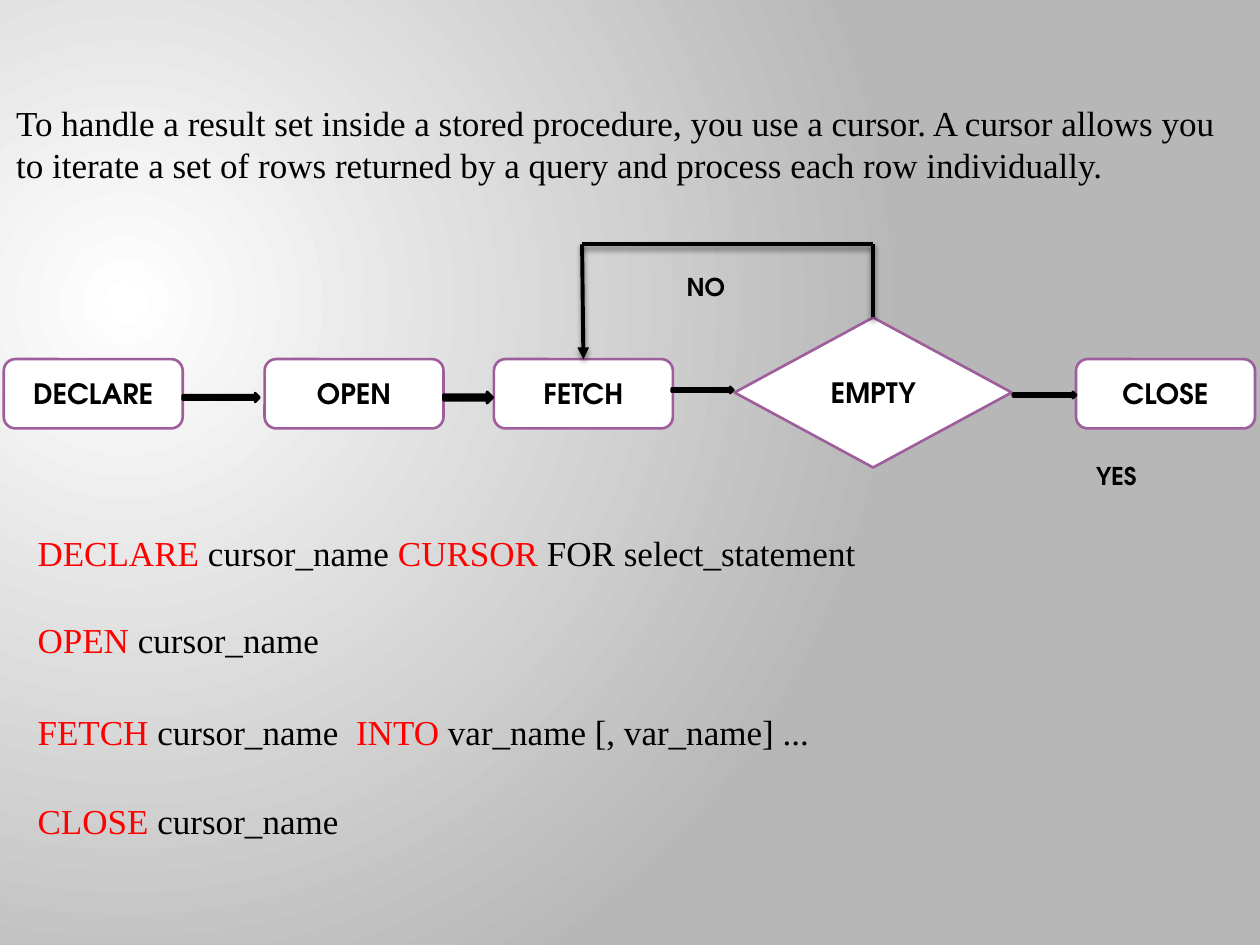
"""Build a slide on the life cycle of a database cursor."""
import pptx
import pptx.dml.color
import pptx.enum.shapes
import pptx.enum.text
import pptx.oxml
import pptx.oxml.ns
import pptx.util

Inches = pptx.util.Inches
Pt = pptx.util.Pt
RGBColor = pptx.dml.color.RGBColor
Shape = pptx.enum.shapes.MSO_SHAPE
NS = pptx.oxml.ns.nsdecls("a")

BLACK = RGBColor(0x00, 0x00, 0x00)
WHITE = RGBColor(0xFF, 0xFF, 0xFF)
GRAY = RGBColor(0xB7, 0xB7, 0xB7)
RED = RGBColor(0xFF, 0x00, 0x00)
PURPLE = RGBColor(0x9E, 0x5E, 0x9B)


class Board:
    SERIF = "Times New Roman"
    SANS = "TeX Gyre Adventor"

    def __init__(self, slide):
        self.slide = slide

    def background(self):
        fill = self.slide.background.fill
        fill.gradient()
        for stop, position, color in zip(fill.gradient_stops, (0, 1), (WHITE, GRAY)):
            stop.position = position
            stop.color.rgb = color
        lin = self.slide.element.xpath(".//p:bg//a:lin")[0]
        lin.getparent().replace(lin, pptx.oxml.parse_xml(
            f'<a:path {NS} path="circle">'
            '<a:fillToRect l="45000" t="65000" r="125000" b="100000"/></a:path>'))

    def text(self, left, top, width, height, runs, size=20, font=SERIF, bold=False):
        sp = self.slide.shapes.add_textbox(
            Inches(left), Inches(top), Inches(width), Inches(height))
        tf = sp.text_frame
        tf.word_wrap = True
        tf.auto_size = pptx.enum.text.MSO_AUTO_SIZE.SHAPE_TO_FIT_TEXT
        p = tf.paragraphs[0]
        p.font.size, p.font.name, p.font.bold = Pt(size), font, bold
        for words, color in runs:
            r = p.add_run()
            r.text = words
            r.font.color.rgb = color

    def label(self, left, top, words):
        self.text(left, top, 0.61, 0.34, [(words, BLACK)], 14, self.SANS, True)

    def shape(self, kind, left, top, width, height, fill, line):
        sp = self.slide.shapes.add_shape(
            kind, Inches(left), Inches(top), Inches(width), Inches(height))
        sp.shadow.inherit = False
        sp.fill.solid()
        sp.fill.fore_color.rgb = fill
        sp.line.color.rgb = line
        sp.line.width = Pt(1.5)
        return sp

    def step(self, words, left, top=2.85, width=1.42, height=0.55,
             kind=Shape.ROUNDED_RECTANGLE):
        sp = self.shape(kind, left, top, width, height, WHITE, PURPLE)
        tf = sp.text_frame
        tf.vertical_anchor = pptx.enum.text.MSO_ANCHOR.MIDDLE
        p = tf.paragraphs[0]
        p.text = words
        p.alignment = pptx.enum.text.PP_ALIGN.CENTER
        p.font.size, p.font.name, p.font.bold = Pt(16), self.SANS, True
        p.font.color.rgb = BLACK
        return sp

    def arrow(self, left, top, width, height):
        self.shape(Shape.RIGHT_ARROW, left, top, width, height, BLACK, BLACK)

    def line(self, start, end, source=None, target=None):
        cx = self.slide.shapes.add_connector(
            pptx.enum.shapes.MSO_CONNECTOR.STRAIGHT,
            *(Inches(value) for value in start + end))
        if source is not None:
            cx.begin_connect(source, 0)
        cx.line.color.rgb = BLACK
        cx.line.width = Pt(2.25)
        if target is not None:
            cx.end_connect(target, 0)
            cx.line._get_or_add_ln().append(
                pptx.oxml.parse_xml(f'<a:tailEnd {NS} type="triangle"/>'))
        cx._element.spPr.append(pptx.oxml.parse_xml(
            f'<a:effectLst {NS}><a:outerShdw blurRad="{Pt(3)}" dist="{Pt(2)}" '
            'dir="5400000" rotWithShape="0"><a:srgbClr val="000000">'
            '<a:alpha val="45000"/></a:srgbClr></a:outerShdw></a:effectLst>'))


def main():
    prs = pptx.Presentation()
    prs.slide_width, prs.slide_height = Inches(10), Inches(7.5)
    board = Board(prs.slides.add_slide(prs.slide_layouts[6]))
    board.background()

    board.text(0.03, 0.76, 10, 0.77, [(
        "To handle a result set inside a stored procedure, you use a cursor. "
        "A cursor allows you to iterate a set of rows returned by a query "
        "and process each row individually.", BLACK)])

    board.step("DECLARE", 0.03)
    board.step("OPEN", 2.1)
    fetch = board.step("FETCH", 3.92)
    empty = board.step("EMPTY", 5.83, 2.52, 2.2, 1.19, Shape.DIAMOND)
    board.step("CLOSE", 8.54)

    for box in ((1.45, 3.12, 0.61, 0.07), (3.52, 3.11, 0.39, 0.09),
                (5.33, 3.07, 0.49, 0.05), (8.04, 3.11, 0.5, 0.05)):
        board.arrow(*box)

    above_fetch, above_empty = (4.62, 1.94), (6.93, 1.94)
    board.line((6.93, 2.52), above_empty, source=empty)
    board.line(above_fetch, (4.62, 2.85), target=fetch)
    board.line(above_fetch, above_empty)
    board.label(5.35, 2.11, "NO")
    board.label(8.6, 3.61, "YES")

    statements = (
        (4.17, 7.43, [("DECLARE ", RED), ("cursor_name ", BLACK), ("CURSOR", RED),
                      (" FOR select_statement", BLACK)]),
        (4.86, 5, [("OPEN ", RED), ("cursor_name", BLACK)]),
        (5.59, 6.83, [("FETCH ", RED), ("cursor_name  ", BLACK), ("INTO ", RED),
                      ("var_name [, var_name] ...", BLACK)]),
        (6.3, 5, [("CLOSE ", RED), ("cursor_name", BLACK)]),
    )
    for top, width, runs in statements:
        board.text(0.2, top, width, 0.44, runs)

    prs.save("out.pptx")


if __name__ == "__main__":
    main()
